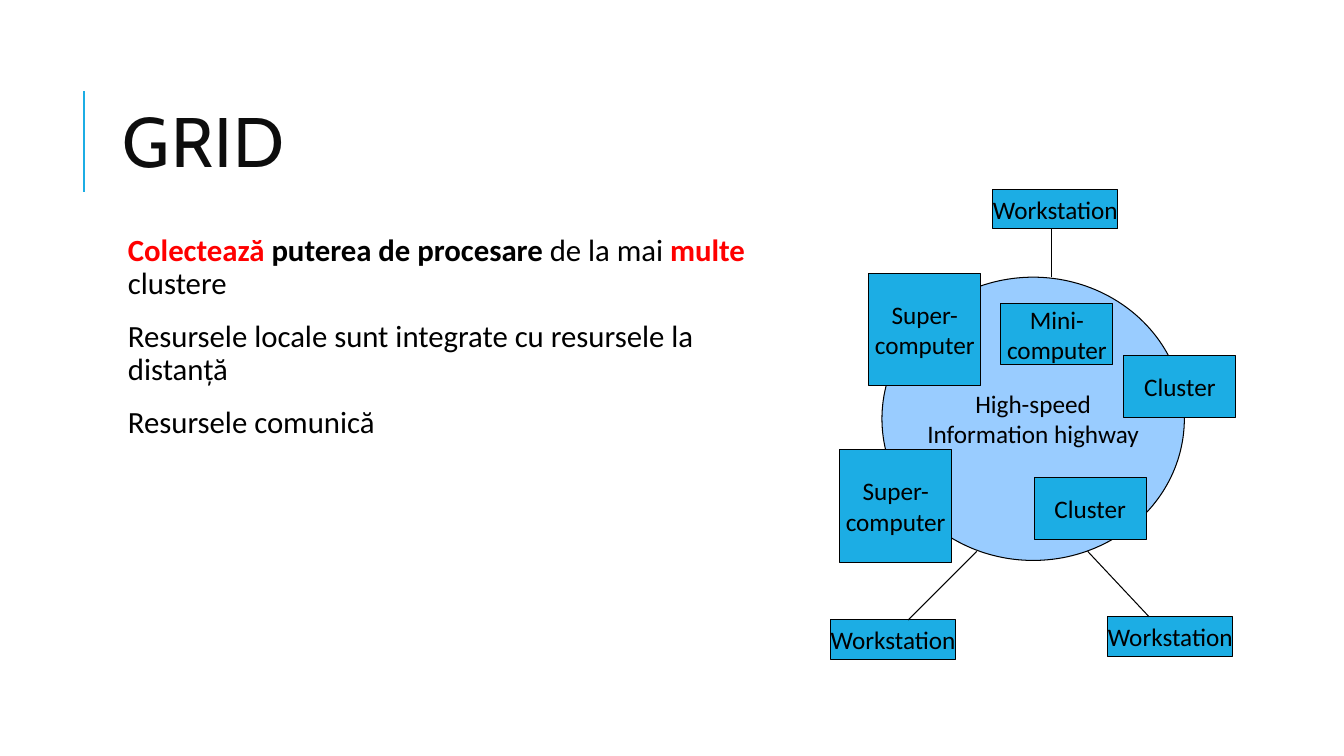
import dataclasses
import pptx
import pptx.dml.color
import pptx.enum.shapes
import pptx.enum.text
import pptx.oxml.ns
import pptx.util
from pptx.util import Pt

rgb = pptx.dml.color.RGBColor.from_string
kinds = pptx.enum.shapes.MSO_SHAPE
align = pptx.enum.text.PP_ALIGN
anchor = pptx.enum.text.MSO_ANCHOR


@dataclasses.dataclass(frozen=True)
class Theme:
    blue = rgb("1CADE4")
    pale = rgb("99CCFF")
    red = rgb("FF0000")
    black = rgb("000000")
    ink = rgb("0D0D0D")
    head = "Cabin"
    body = "Calibri"
    title = Pt(50)
    text = Pt(22)
    label = Pt(18)


theme = Theme()


def add_node(kind, fill, left, top, width, height, label):
    node = slide.shapes.add_shape(kind, Pt(left), Pt(top), Pt(width), Pt(height))
    node.shadow.inherit = False
    node.fill.solid()
    node.fill.fore_color.rgb = fill
    node.line.color.rgb = theme.black
    node.line.width = Pt(0.75)
    frame = node.text_frame
    frame.word_wrap = False
    frame.vertical_anchor = anchor.MIDDLE
    frame.text = label
    for para in frame.paragraphs:
        para.alignment = align.CENTER
        para.font.name = theme.body
        para.font.size = theme.label
        para.font.color.rgb = theme.black


def add_line(x1, y1, x2, y2, color, width):
    line = slide.shapes.add_connector(
        pptx.enum.shapes.MSO_CONNECTOR.STRAIGHT, Pt(x1), Pt(y1), Pt(x2), Pt(y2))
    line.line.color.rgb = color
    line.line.width = Pt(width)
    props = line._element.spPr
    props.append(props.makeelement(pptx.oxml.ns.qn("a:effectLst"), {}))


deck = pptx.Presentation()
deck.slide_width, deck.slide_height = Pt(960), Pt(540)
slide = deck.slides.add_slide(deck.slide_layouts[5])

# Title with its accent line
add_line(60, 136.8, 60, 64.8, theme.blue, 1.5)
title = slide.shapes.title
title.left, title.top, title.width, title.height = Pt(80.6), Pt(46), Pt(765.4), Pt(118)
frame = title.text_frame
frame.text = "GRID"
frame.auto_size = pptx.enum.text.MSO_AUTO_SIZE.NONE
frame.vertical_anchor = anchor.MIDDLE
para = frame.paragraphs[0]
para.alignment = align.LEFT
para.line_spacing = 0.8
para.font.name = theme.head
para.font.size = theme.title
para.font.color.rgb = theme.ink
para.runs[0].font._element.set("spc", "100")

# Body text: each run is wording, colour, bold
points = [
    [("Colectează ", theme.red, True),
     ("puterea de procesare ", theme.black, True),
     ("de la mai ", theme.black, False),
     ("multe ", theme.red, True),
     ("clustere", theme.black, False)],
    [("Resursele locale sunt integrate cu resursele la distanță", theme.black, False)],
    [("Resursele comunică", theme.black, False)],
]
body = slide.shapes.add_textbox(Pt(80.6), Pt(164.2), Pt(469.4), Pt(249.8))
frame = body.text_frame
frame.word_wrap = True
frame.margin_left = Pt(10.8)
frame.margin_top = frame.margin_right = frame.margin_bottom = Pt(3.6)
for index, parts in enumerate(points):
    para = frame.add_paragraph() if index else frame.paragraphs[0]
    para.line_spacing = 0.9
    para.space_before, para.space_after = Pt(12), Pt(2)
    para.font.name = theme.body
    para.font.size = theme.text
    for words, color, bold in parts:
        run = para.add_run()
        run.text = words
        run.font.color.rgb = color
        run.font.bold = bold

# Network hub
add_node(kinds.OVAL, theme.pale, 630, 198, 216, 202.3,
         "High-speed\nInformation highway")

# Computers: sizes by class, then label and place
large, small, flat = (80, 80.6), (80, 44), (89.3, 28.1)
nodes = [
    ("Super-\ncomputer", large, 620.6, 195.1),
    ("Cluster", small, 802.8, 254.2),
    ("Super-\ncomputer", large, 599.8, 321.1),
    ("Cluster", small, 738.7, 341.3),
    ("Mini-\ncomputer", small, 715, 216.7),
    ("Workstation", flat, 709.2, 135.4),
    ("Workstation", flat, 593.3, 442.8),
    ("Workstation", flat, 791.3, 440.6),
]
for label, (width, height), left, top in nodes:
    add_node(kinds.RECTANGLE, theme.blue, left, top, width, height, label)

# Links from the workstations to the hub
links = [
    (820.8, 440.6, 776.9, 393.8),
    (751, 163, 751, 198),
    (697.7, 393.8, 648.7, 442.8),
]
for ends in links:
    add_line(*ends, theme.black, 0.75)

deck.save("out.pptx")
